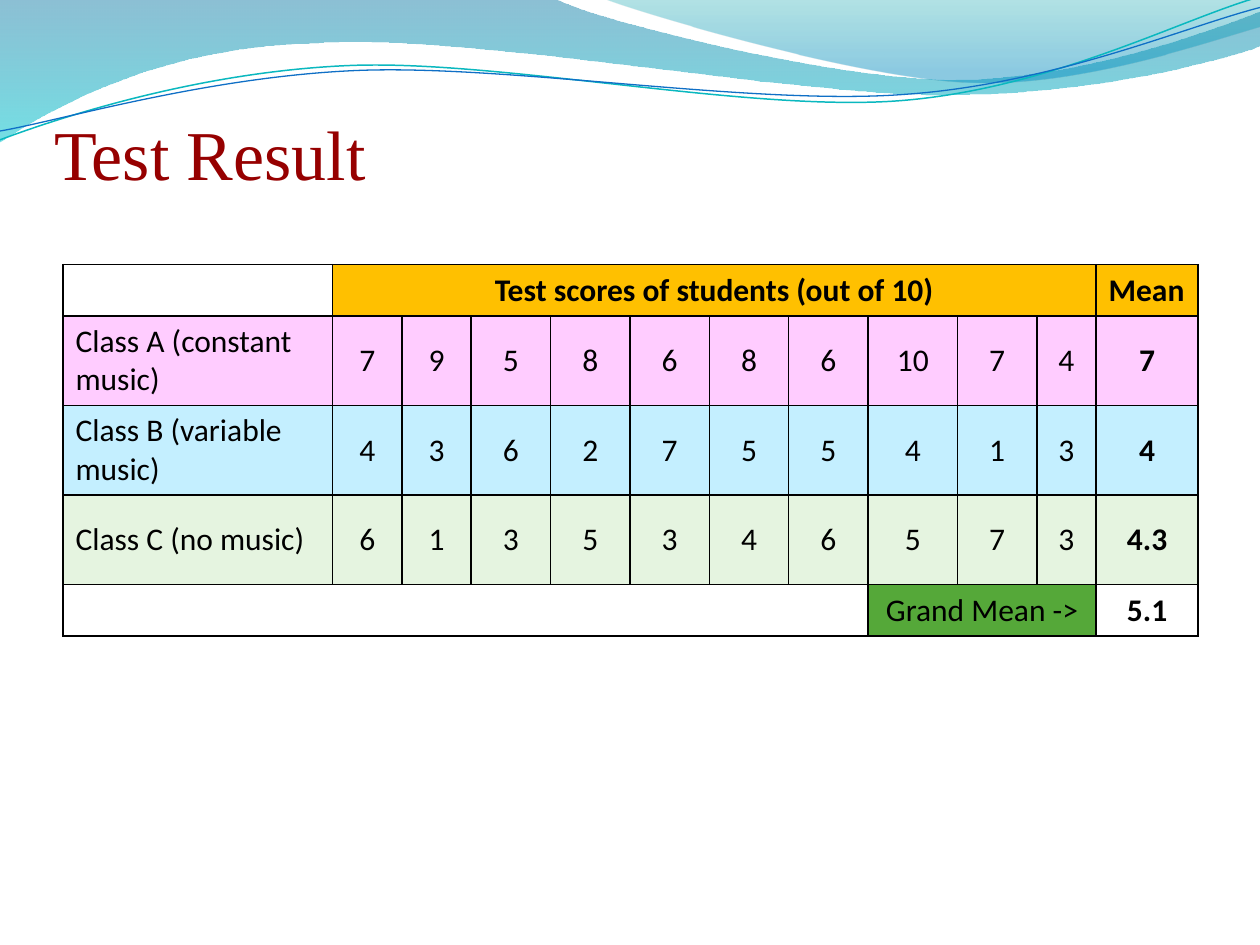
from dataclasses import dataclass
from math import cos, radians, sin

from lxml.etree import SubElement
from pptx import Presentation
from pptx.dml.color import RGBColor as Rgb
from pptx.enum.text import MSO_ANCHOR as Anchor, PP_ALIGN as Align
from pptx.oxml import parse_xml
from pptx.oxml.ns import nsdecls, qn
from pptx.util import Inches, Pt


@dataclass(frozen=True)
class Theme:
    title_font: str = "Times New Roman"
    table_font: str = "Calibri"
    title_size: int = 40
    table_size: int = 18
    title: str = "960000"
    ink: str = "000000"
    paper: str = "FFFFFF"
    header: str = "FFC000"
    class_a: str = "FFCCFF"
    class_b: str = "C4EFFF"
    class_c: str = "E5F4E0"
    grand_mean: str = "55A839"
    teal_line: str = "0AB8BF"
    blue_line: str = "0F6FC6"
    # Gradient stops: position %, colour, opacity %
    wide_wave: tuple = ((0, "0074A1", 45), (100, "00C6CF", 55))
    right_wave: tuple = ((0, "00A1A9", 30), (80, "008BBF", 45))


def write(frame, text, *, font, size, color, bold=False, align=Align.LEFT):
    paragraph = frame.paragraphs[0]
    paragraph.alignment = align
    run = paragraph.add_run()
    run.text = text
    run.font.name, run.font.size, run.font.bold = font, Pt(size), bold
    run.font.color.rgb = Rgb.from_string(color)


def turn(point, center, degrees):
    """Turn a point clockwise about a center."""
    (x, y), (cx, cy), angle = point, center, radians(degrees)
    dx, dy = x - cx, y - cy
    return (cx + dx * cos(angle) - dy * sin(angle),
            cy + dx * sin(angle) + dy * cos(angle))


class SlideBuilder:
    """Places elements on a grid of 10 columns by 7.5 rows."""

    def __init__(self, deck, theme):
        self.theme = theme
        self.cell = deck.slide_width / 10
        self.slide = deck.slides.add_slide(deck.slide_layouts[6])
        self.slide.background.fill.solid()
        self.slide.background.fill.fore_color.rgb = Rgb.from_string(theme.paper)

    def grid(self, *lengths):
        return [round(length * self.cell) for length in lengths]

    def outline(self, start, segments, close, center=(0, 0), tilt=0):
        """Segments of one point are straight, of three points cubic curves."""
        points = [start] + [point for segment in segments for point in segment]
        points = [self.grid(*turn(point, center, -tilt)) for point in points]
        builder = self.slide.shapes.build_freeform(*points[0])
        builder.add_line_segments(points[1:], close=close)
        shape = builder.convert_to_shape()
        shape.shadow.inherit = False
        shape.rotation = tilt
        # Join each three straight steps of a curve into one cubic
        steps = iter(list(shape._element.spPr.iter(qn("a:lnTo"))))
        for segment in segments:
            first, *others = [next(steps) for _ in segment]
            if others:
                first.tag = qn("a:cubicBezTo")
                for step in others:
                    first.append(step[0])
                    step.getparent().remove(step)
        return shape

    def wave(self, start, segments, stops):
        shape = self.outline(start, segments, close=True)
        shape.line.fill.background()
        shape.fill.background()
        stop_xml = "".join(
            f'<a:gs pos="{pos * 1000}"><a:srgbClr val="{color}">'
            f'<a:alpha val="{opacity * 1000}"/></a:srgbClr></a:gs>'
            for pos, color, opacity in stops)
        gradient = parse_xml(
            f'<a:gradFill {nsdecls("a")} rotWithShape="1"><a:gsLst>{stop_xml}</a:gsLst>'
            '<a:lin ang="5400000" scaled="0"/></a:gradFill>')
        properties = shape._element.spPr
        properties.replace(properties.find(qn("a:noFill")), gradient)

    def ripple(self, start, segments, color, width, center):
        shape = self.outline(start, segments, close=False, center=center, tilt=-2.7)
        shape.fill.background()
        shape.line.color.rgb = Rgb.from_string(color)
        shape.line.width = Pt(width)

    def title(self, text, box):
        frame = self.slide.shapes.add_textbox(*self.grid(*box)).text_frame
        frame.word_wrap = True
        frame.vertical_anchor = Anchor.BOTTOM
        frame.margin_left = frame.margin_right = frame.margin_bottom = 0
        frame.margin_top = Inches(0.05)
        write(frame, text, font=self.theme.title_font,
              size=self.theme.title_size, color=self.theme.title)

    def table(self, left, top, widths, heights):
        table = self.slide.shapes.add_table(
            len(heights), len(widths),
            *self.grid(left, top, sum(widths), sum(heights))).table
        table.first_row = table.horz_banding = False
        for column, width in zip(table.columns, self.grid(*widths)):
            column.width = width
        for row, height in zip(table.rows, self.grid(*heights)):
            row.height = height
        for cell in table.iter_cells():
            self.border(cell)
            self.fill_cell(cell, self.theme.paper)
        return table

    def border(self, cell):
        properties = cell._tc.get_or_add_tcPr()
        for side in ("lnL", "lnR", "lnT", "lnB"):
            line = SubElement(properties, qn(f"a:{side}"), w=str(Pt(1)))
            paint = SubElement(line, qn("a:solidFill"))
            SubElement(paint, qn("a:srgbClr"), val=self.theme.ink)

    def fill_cell(self, cell, fill, text="", **style):
        cell.fill.solid()
        cell.fill.fore_color.rgb = Rgb.from_string(fill)
        cell.vertical_anchor = Anchor.MIDDLE
        if text:
            write(cell.text_frame, text, font=self.theme.table_font,
                  size=self.theme.table_size, color=self.theme.ink, **style)


def main():
    theme = Theme()
    deck = Presentation()
    deck.slide_width, deck.slide_height = Inches(10), Inches(7.5)
    page = SlideBuilder(deck, theme)

    # Waves across the top
    page.wave((0, 0), [
        [(4.4, -0.01)],
        [(4.76, 0.17), (6.64, 0.63), (7.58, 0.63)],
        [(8.53, 0.63), (9.58, 0.26), (10, 0.09)],
        [(10.01, 0.36)],
        [(9.83, 0.44), (8.7, 0.76), (7.46, 0.75)],
        [(6.22, 0.75), (3.82, 0.28), (2.57, 0.34)],
        [(1.29, 0.36), (0.46, 0.83), (-0.01, 1.13)],
        [(0, 0)]], theme.wide_wave)
    page.wave((4.79, -0.01), [
        [(5.09, 0.11), (6.82, 0.62), (7.69, 0.65)],
        [(8.56, 0.69), (9.61, 0.32), (10, 0.21)],
        [(10, 0)],
        [(4.79, -0.01)]], theme.right_wave)
    page.ripple((0, 1.11), [
        [(0.48, 0.93), (1.58, 0.57), (2.77, 0.52)],
        [(3.95, 0.47), (5.93, 0.89), (7.13, 0.8)],
        [(8.33, 0.71), (9.38, 0.15), (9.98, -0.02)]],
        theme.teal_line, 0.85, center=(4.99, 0.57))
    page.ripple((0, 1.04), [
        [(0.47, 0.96), (1.64, 0.61), (2.83, 0.56)],
        [(4.03, 0.51), (5.97, 0.84), (7.17, 0.75)],
        [(8.36, 0.67), (9.41, 0.21), (10, 0.06)]],
        theme.blue_line, 0.75, center=(5, 0.59))

    page.title("Test Result", (0.43, 0.29, 9, 1.25))

    # Score table
    widths = [2.14] + [0.55] * 2 + [0.63] * 5 + [0.71, 0.63, 0.47, 0.81]
    scores = page.table(0.5, 2.1, widths, [0.41] + [0.71] * 3 + [0.41])
    mean_col, grand_col = len(widths) - 1, 8

    # Header row
    scores.cell(0, 1).merge(scores.cell(0, mean_col - 1))
    page.fill_cell(scores.cell(0, 1), theme.header,
                   "Test scores of students (out of 10)", bold=True, align=Align.CENTER)
    page.fill_cell(scores.cell(0, mean_col), theme.header, "Mean", bold=True)

    # One row per class: label, ten scores, mean
    classes = [
        ("Class A (constant music)", theme.class_a, (7, 9, 5, 8, 6, 8, 6, 10, 7, 4), 7),
        ("Class B (variable music)", theme.class_b, (4, 3, 6, 2, 7, 5, 5, 4, 1, 3), 4),
        ("Class C (no music)", theme.class_c, (6, 1, 3, 5, 3, 4, 6, 5, 7, 3), 4.3),
    ]
    for row, (label, fill, marks, mean) in enumerate(classes, start=1):
        page.fill_cell(scores.cell(row, 0), fill, label)
        for col, value in enumerate((*marks, mean), start=1):
            page.fill_cell(scores.cell(row, col), fill, str(value),
                           bold=col == mean_col, align=Align.CENTER)

    # Grand mean row
    last = len(classes) + 1
    scores.cell(last, 0).merge(scores.cell(last, grand_col - 1))
    scores.cell(last, grand_col).merge(scores.cell(last, mean_col - 1))
    page.fill_cell(scores.cell(last, grand_col), theme.grand_mean,
                   "Grand Mean ->", align=Align.CENTER)
    page.fill_cell(scores.cell(last, mean_col), theme.paper, "5.1",
                   bold=True, align=Align.CENTER)

    deck.save("out.pptx")


if __name__ == "__main__":
    main()
